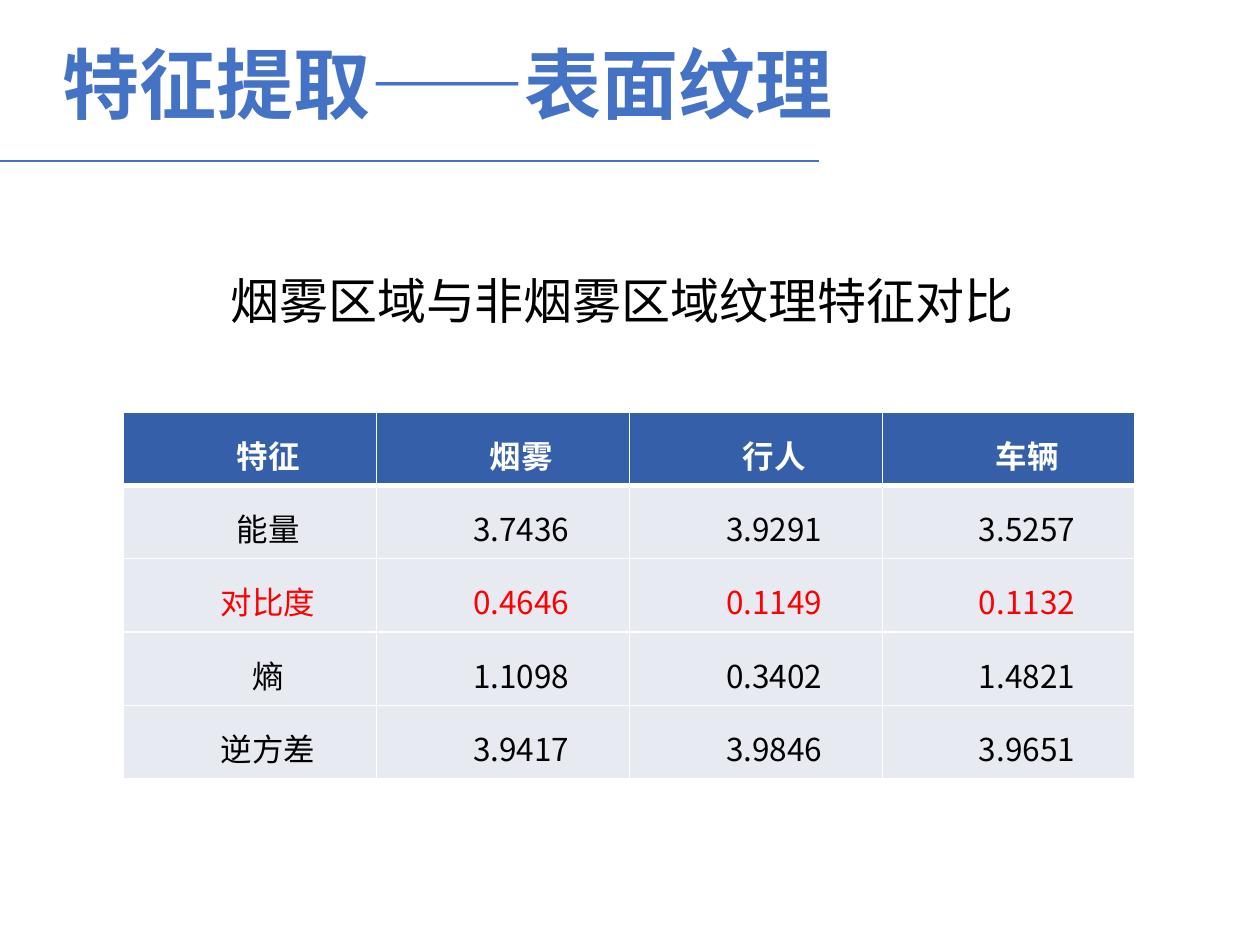
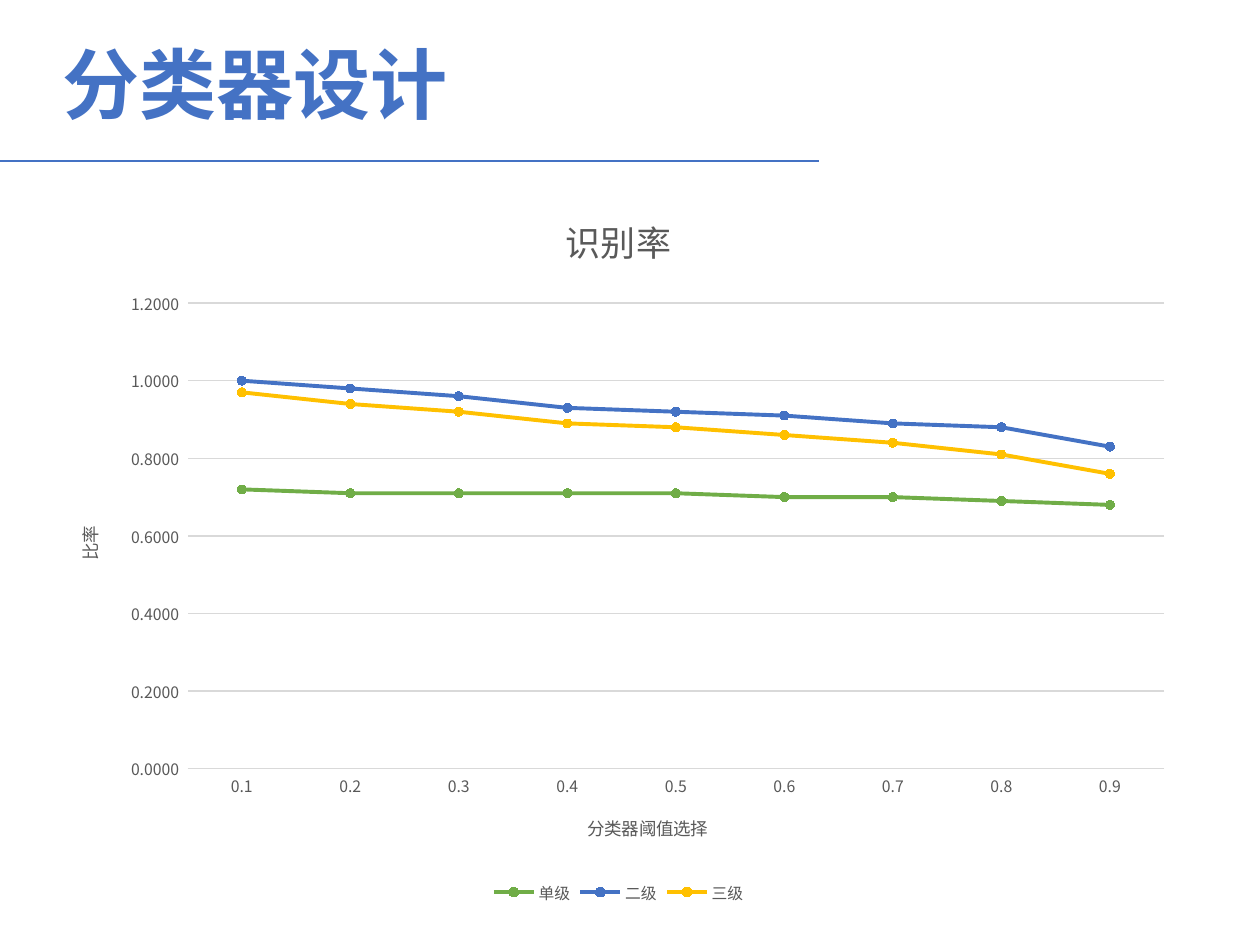
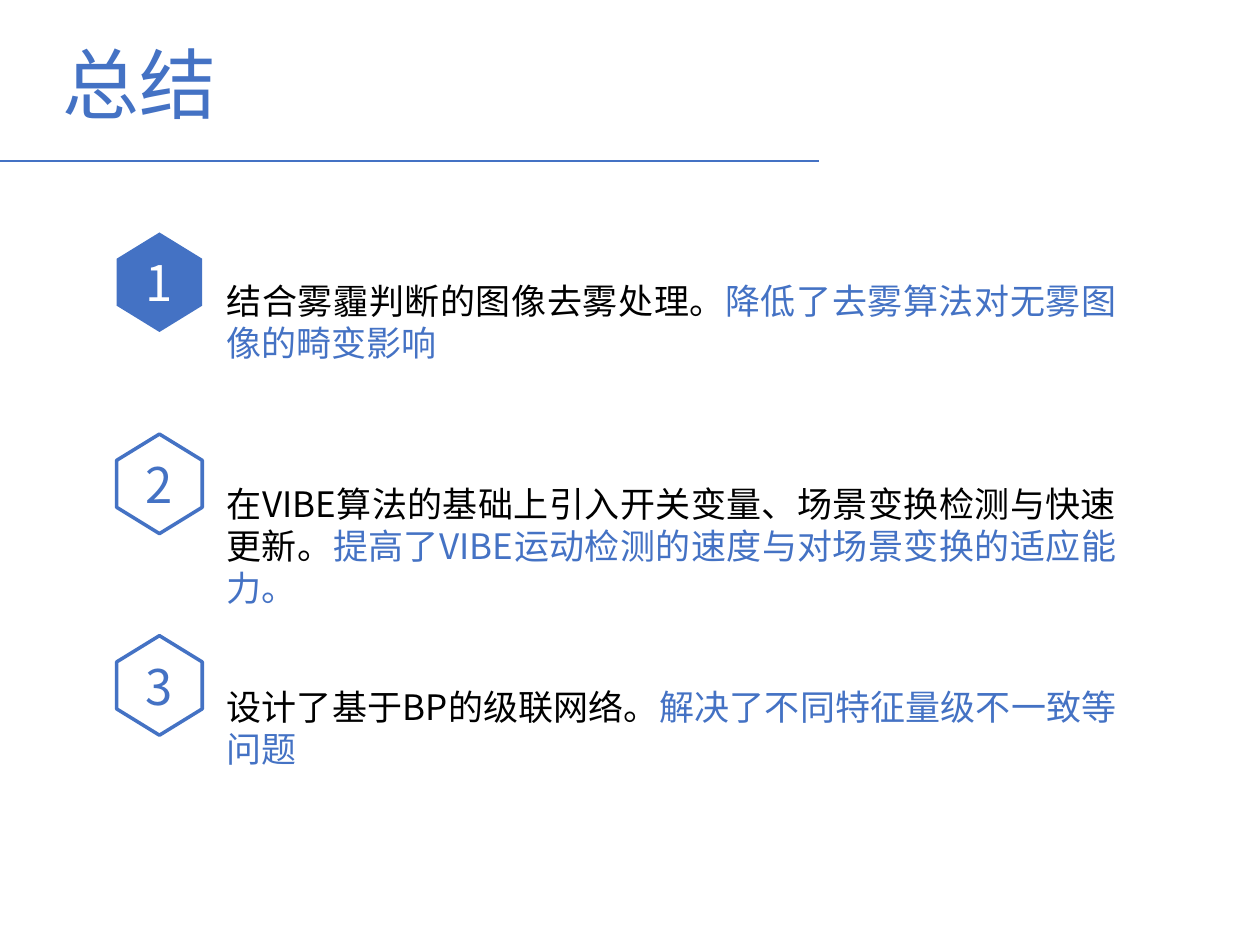
from lxml.etree import SubElement
from pptx import Presentation
from pptx.chart.data import CategoryChartData
from pptx.dml.color import RGBColor
from pptx.enum.chart import XL_CHART_TYPE, XL_LEGEND_POSITION, XL_MARKER_STYLE, XL_TICK_MARK
from pptx.enum.shapes import MSO_CONNECTOR, MSO_SHAPE
from pptx.enum.text import MSO_ANCHOR, PP_ALIGN
from pptx.oxml.ns import qn
from pptx.util import Inches, Pt

FONT = "Noto Sans CJK SC"
BLUE = RGBColor(0x44, 0x72, 0xC4)
HEADER_BLUE = RGBColor(0x36, 0x5F, 0xAA)
ROW_GRAY = RGBColor(0xE8, 0xEA, 0xF1)
GREEN = RGBColor(0x70, 0xAD, 0x47)
GOLD = RGBColor(0xFF, 0xC0, 0x00)
RED = RGBColor(0xFF, 0x00, 0x00)
BLACK = RGBColor(0x00, 0x00, 0x00)
WHITE = RGBColor(0xFF, 0xFF, 0xFF)
CHART_TEXT = RGBColor(0x59, 0x59, 0x59)
GRID_GRAY = RGBColor(0xD9, 0xD9, 0xD9)


def style_font(font, size, color, bold=False):
    font.name = FONT
    font.size = Pt(size)
    font.bold = bold
    font.color.rgb = color
    SubElement(font._element, qn("a:ea")).set("typeface", FONT)


def add_text(page, left, top, width, height, text, size, color, bold=False):
    box = page.shapes.add_textbox(Inches(left), Inches(top), Inches(width), Inches(height))
    box.text_frame.word_wrap = True
    para = box.text_frame.paragraphs[0]
    para.add_run().text = text
    style_font(para.font, size, color, bold)
    return para


deck = Presentation()
deck.slide_width = Inches(10)
deck.slide_height = Inches(7.5)

pages = []
for title, bold in [("特征提取——表面纹理", True), ("分类器设计", True), ("总结", False)]:
    page = deck.slides.add_slide(deck.slide_layouts[6])
    rule = page.shapes.add_connector(
        MSO_CONNECTOR.STRAIGHT, Inches(0), Inches(1.28), Inches(6.5), Inches(1.28))
    rule.line.color.rgb = BLUE
    rule.line.width = Pt(1.25)
    SubElement(rule._element.spPr, qn("a:effectLst"))
    para = add_text(page, 0.4, 0.32, 8.03, 0.71, title, 44, BLUE, bold)
    para.line_spacing = 0.9
    pages.append(page)
texture_page, classifier_page, summary_page = pages

texture_rows = [
    ("特征", "烟雾", "行人", "车辆"),
    ("能量", "3.7436", "3.9291", "3.5257"),
    ("对比度", "0.4646", "0.1149", "0.1132"),
    ("熵", "1.1098", "0.3402", "1.4821"),
    ("逆方差", "3.9417", "3.9846", "3.9651"),
]
table = texture_page.shapes.add_table(
    5, 4, Inches(0.98), Inches(3.27), Inches(8.03), Inches(2.91)).table
table.horz_banding = False
text_colors = {0: WHITE, 2: RED}
for row_index, row in enumerate(texture_rows):
    for column_index, value in enumerate(row):
        cell = table.cell(row_index, column_index)
        cell.vertical_anchor = MSO_ANCHOR.MIDDLE
        cell.margin_left = cell.margin_right = Inches(0.07)
        cell.margin_top = cell.margin_bottom = 0
        for side in "LRTB":
            thick = (row_index, side) in [(0, "B"), (1, "T")]
            border = SubElement(cell._tc.get_or_add_tcPr(), qn(f"a:ln{side}"))
            border.set("w", str(Pt(3 if thick else 1)))
            border_fill = SubElement(border, qn("a:solidFill"))
            SubElement(border_fill, qn("a:srgbClr")).set("val", str(WHITE))
        cell.fill.solid()
        cell.fill.fore_color.rgb = HEADER_BLUE if row_index == 0 else ROW_GRAY
        para = cell.text_frame.paragraphs[0]
        para.add_run().text = value
        para.alignment = PP_ALIGN.CENTER
        para.line_spacing = 1.25
        para._p.get_or_add_pPr().set("indent", str(Inches(0.29)))
        style_font(para.font, 18, text_colors.get(row_index, BLACK), row_index == 0)

caption = add_text(texture_page, 1.73, 2.09, 6.7, 0.57,
                   "烟雾区域与非烟雾区域纹理特征对比", 28, BLACK)
caption.line_spacing = Pt(34)

recognition_rates = [
    ("单级", GREEN, (0.72, 0.71, 0.71, 0.71, 0.71, 0.7, 0.7, 0.69, 0.68)),
    ("二级", BLUE, (1, 0.98, 0.96, 0.93, 0.92, 0.91, 0.89, 0.88, 0.83)),
    ("三级", GOLD, (0.97, 0.94, 0.92, 0.89, 0.88, 0.86, 0.84, 0.81, 0.76)),
]
data = CategoryChartData(number_format="0.0000_ ")
data.categories = [f"0.{step}" for step in range(1, 10)]
for name, color, rates in recognition_rates:
    data.add_series(name, rates)
chart = classifier_page.shapes.add_chart(
    XL_CHART_TYPE.LINE_MARKERS, Inches(0.4), Inches(1.46), Inches(9.02), Inches(5.75), data).chart
style_font(chart.font, 10, BLACK)
chart.plots[0].vary_by_categories = False
chart.has_title = True
chart.has_legend = True
chart.legend.position = XL_LEGEND_POSITION.BOTTOM
chart.legend.include_in_layout = False
style_font(chart.legend.font, 9, CHART_TEXT)

category_axis, value_axis = chart.category_axis, chart.value_axis
for axis in (category_axis, value_axis):
    axis.has_title = True
    axis.major_tick_mark = axis.minor_tick_mark = XL_TICK_MARK.NONE
    style_font(axis.tick_labels.font, 9, CHART_TEXT)
for chart_title, text, size in [
    (chart.chart_title, "识别率", 20),
    (category_axis.axis_title, "分类器阈值选择", 10),
    (value_axis.axis_title, "比率", 10),
]:
    para = chart_title.text_frame.paragraphs[0]
    para.add_run().text = text
    style_font(para.font, size, CHART_TEXT)

value_axis.minimum_scale = 0
value_axis.maximum_scale = 1.2
value_axis.major_unit = 0.2
value_axis.tick_labels.number_format = "0.0000_ "
value_axis.tick_labels.number_format_is_linked = False
value_axis.format.line.fill.background()
for line in (category_axis.format.line, value_axis.major_gridlines.format.line):
    line.color.rgb = GRID_GRAY
    line.width = Pt(0.75)

for series, (name, color, rates) in zip(chart.plots[0].series, recognition_rates):
    series.smooth = False
    series.format.line.color.rgb = color
    series.format.line.width = Pt(2.25)
    series.marker.style = XL_MARKER_STYLE.CIRCLE
    series.marker.size = 5
    series.marker.format.fill.solid()
    series.marker.format.fill.fore_color.rgb = color
    series.marker.format.line.color.rgb = color

conclusions = [
    (2.17, 0.77, "结合雾霾判断的图像去雾处理。", "降低了去雾算法对无雾图像的畸变影响"),
    (3.78, 1.11, "在VIBE算法的基础上引入开关变量、场景变换检测与快速更新。",
     "提高了VIBE运动检测的速度与对场景变换的适应能力。"),
    (5.39, 0.77, "设计了基于BP的级联网络。", "解决了不同特征量级不一致等问题"),
]
for index, (top, height, method, benefit) in enumerate(conclusions):
    hexagon = summary_page.shapes.add_shape(
        MSO_SHAPE.HEXAGON, Inches(0.87), Inches(1.9 + 1.6 * index), Inches(0.79), Inches(0.68))
    hexagon.rotation = 90
    hexagon.adjustments[0] = 0.307
    hexagon.shadow.inherit = False
    if index == 0:
        hexagon.fill.solid()
        hexagon.fill.fore_color.rgb = BLUE
        hexagon.line.fill.background()
    else:
        hexagon.fill.background()
        hexagon.line.color.rgb = BLUE
        hexagon.line.width = Pt(2)
    frame = hexagon.text_frame
    frame.vertical_anchor = MSO_ANCHOR.MIDDLE
    frame.margin_left = frame.margin_right = frame.margin_top = frame.margin_bottom = 0
    frame._txBody.bodyPr.set("vert", "vert270")
    number = frame.paragraphs[0]
    number.add_run().text = str(index + 1)
    number.alignment = PP_ALIGN.CENTER
    style_font(number.font, 28, WHITE if index == 0 else BLUE)

    para = add_text(summary_page, 1.7, top, 7.26, height, method, 20, BLACK)
    para.alignment = PP_ALIGN.JUSTIFY
    para.line_spacing = Pt(24)
    span = para.add_run()
    span.text = benefit
    span.font.color.rgb = BLUE

deck.save("out.pptx")
